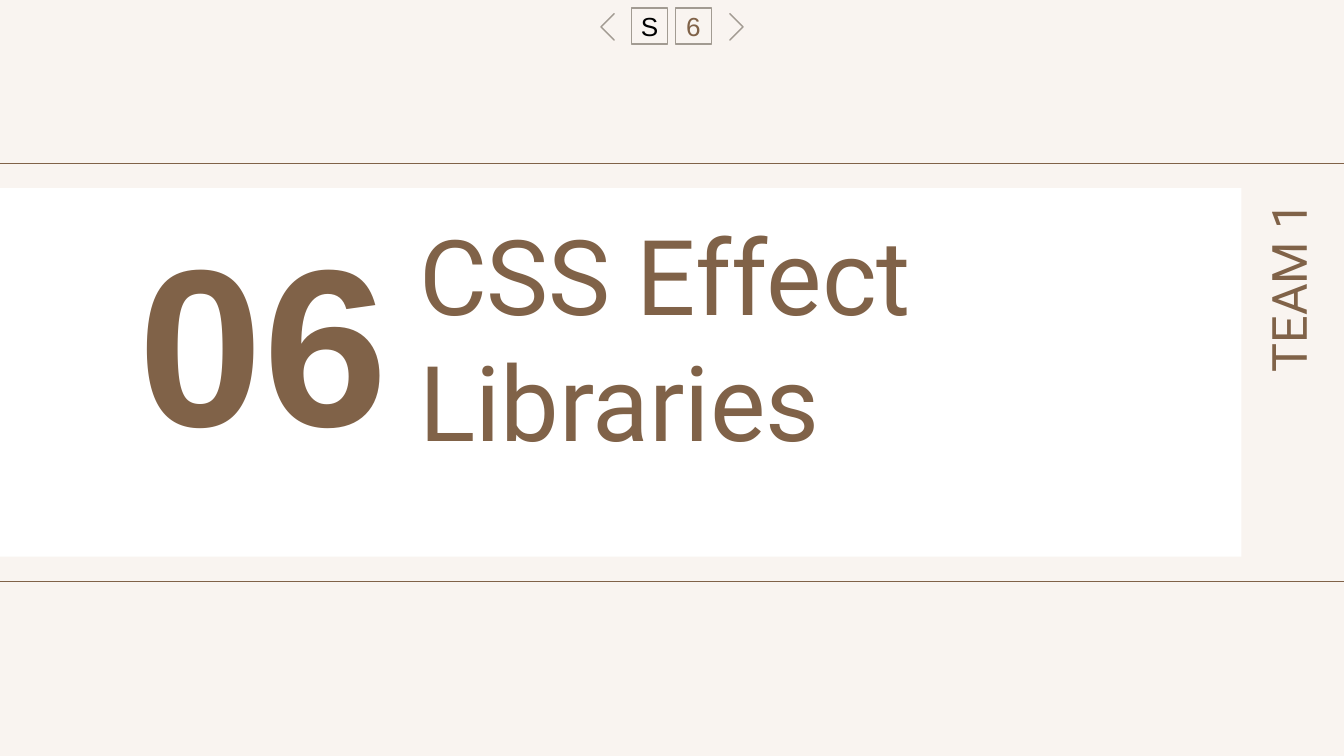
from dataclasses import dataclass
from typing import Optional

from pptx import Presentation
from pptx.dml.color import RGBColor
from pptx.enum.shapes import MSO_SHAPE as Preset
from pptx.enum.text import MSO_ANCHOR as Anchor, PP_ALIGN as Align
from pptx.shapes.autoshape import Shape
from pptx.slide import Slide
from pptx.util import Pt

CREAM = RGBColor(0xF9, 0xF4, 0xF0)
WHITE = RGBColor(0xFF, 0xFF, 0xFF)
BLACK = RGBColor(0x00, 0x00, 0x00)
BROWN = RGBColor(0x80, 0x62, 0x48)
TAUPE = RGBColor(0xA2, 0x9B, 0x92)

BUTTON_TOP = 4.3
BUTTON_SIZE = 19.4
CHEVRON_TOP = 9.4
CHEVRON_SIZE = 10


@dataclass(frozen=True)
class Panel:
    left: float
    top: float
    width: float
    height: float
    fill: Optional[RGBColor] = None
    line: Optional[RGBColor] = None
    preset: Preset = Preset.RECTANGLE
    rotation: float = 0


@dataclass(frozen=True)
class Label:
    text: str
    size: float
    font: str = "Roboto"
    color: RGBColor = BROWN
    align: Align = Align.LEFT
    bold: bool = False
    side_inset: float = 7.2


@dataclass(frozen=True)
class Caption:
    left: float
    top: float
    width: float
    height: float
    label: Label
    rotation: float = 0


def draw_panel(page: Slide, panel: Panel) -> Shape:
    shape = page.shapes.add_shape(
        panel.preset, Pt(panel.left), Pt(panel.top), Pt(panel.width), Pt(panel.height)
    )
    shape.shadow.inherit = False
    shape.rotation = panel.rotation
    if panel.fill is None:
        shape.fill.background()
    else:
        shape.fill.solid()
        shape.fill.fore_color.rgb = panel.fill
    if panel.line is None:
        shape.line.fill.background()
    else:
        shape.line.color.rgb = panel.line
        shape.line.width = Pt(0.75)
    return shape


def write_label(box: Shape, label: Label) -> None:
    frame = box.text_frame
    frame.word_wrap = True
    frame.vertical_anchor = Anchor.MIDDLE
    frame.margin_left = frame.margin_right = Pt(label.side_inset)
    frame.margin_top = frame.margin_bottom = Pt(7.2)
    para = frame.paragraphs[0]
    para.text = label.text
    para.alignment = label.align
    para.font.name = label.font
    para.font.size = Pt(label.size)
    para.font.bold = label.bold
    para.font.color.rgb = label.color


def draw_caption(page: Slide, caption: Caption) -> None:
    box = page.shapes.add_textbox(
        Pt(caption.left), Pt(caption.top), Pt(caption.width), Pt(caption.height)
    )
    box.rotation = caption.rotation
    write_label(box, caption.label)


def draw_button(page: Slide, left: float, text: str, color: RGBColor) -> None:
    button = draw_panel(
        page, Panel(left, BUTTON_TOP, BUTTON_SIZE, BUTTON_SIZE, line=TAUPE)
    )
    write_label(button, Label(text, 14, "Arial", color, Align.CENTER, side_inset=0))


def draw_chevron(page: Slide, left: float, rotation: float) -> None:
    chevron = draw_panel(
        page,
        Panel(left, CHEVRON_TOP, CHEVRON_SIZE, CHEVRON_SIZE, BROWN, TAUPE,
              Preset.HALF_FRAME, rotation),
    )
    chevron.adjustments[0] = 0
    chevron.adjustments[1] = 0


PANELS = [
    Panel(-3.6, 100.8, 668.6, 197.5, fill=WHITE),
    Panel(-57.6, 87.6, 856.8, 223.9, line=BROWN),
]
CAPTIONS = [
    Caption(217.4, 125.3, 397.4, 110.2, Label("CSS Effect Libraries", 56)),
    Caption(56.2, 125.3, 169.9, 110.2,
            Label("06", 120, "Arial", align=Align.CENTER, bold=True)),
    Caption(624.2, 140.4, 131, 52.6, Label("TEAM 1", 26, align=Align.RIGHT), 270),
]
BUTTONS = [(338.4, "S", BLACK), (361.8, "6", BROWN)]
CHEVRONS = [(324, 315), (386, 135)]


def main() -> None:
    deck = Presentation()
    deck.slide_width = Pt(720)
    deck.slide_height = Pt(405)
    page = deck.slides.add_slide(deck.slide_layouts[6])
    page.background.fill.solid()
    page.background.fill.fore_color.rgb = CREAM
    for panel in PANELS:
        draw_panel(page, panel)
    for caption in CAPTIONS:
        draw_caption(page, caption)
    for left, text, color in BUTTONS:
        draw_button(page, left, text, color)
    for left, rotation in CHEVRONS:
        draw_chevron(page, left, rotation)
    deck.save("out.pptx")


if __name__ == "__main__":
    main()
